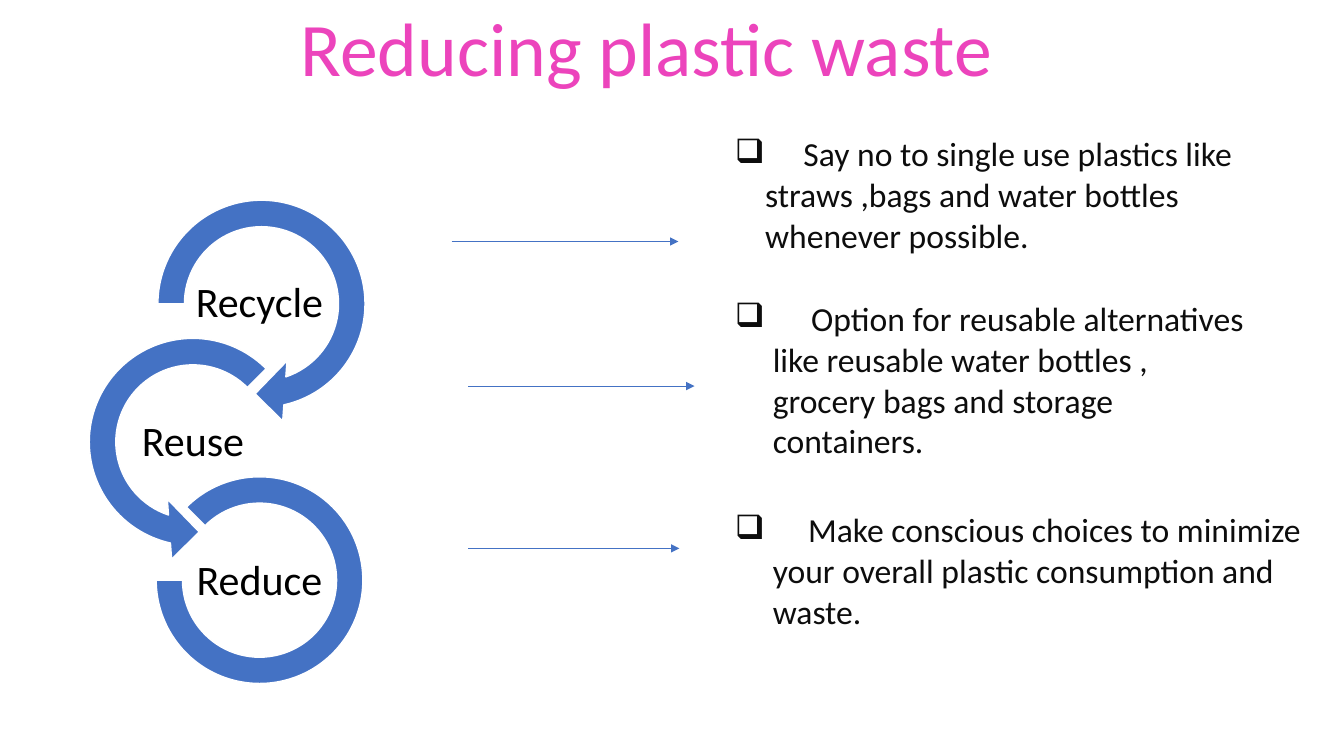
from dataclasses import dataclass

import pptx
import pptx.dml.color
import pptx.enum.shapes
import pptx.enum.text
import pptx.oxml.ns
import pptx.util
from lxml import etree

Pt = pptx.util.Pt
RGBColor = pptx.dml.color.RGBColor
Shape = pptx.enum.shapes.MSO_SHAPE
Align = pptx.enum.text.PP_ALIGN
qn = pptx.oxml.ns.qn

BLUE = RGBColor(0x44, 0x72, 0xC4)
PINK = RGBColor(0xEC, 0x44, 0xBC)
BLACK = RGBColor(0, 0, 0)
DARK = RGBColor(0x0D, 0x0D, 0x0D)
WHITE = RGBColor(0xFF, 0xFF, 0xFF)
FONT = "Calibri"
STEP = 99.4  # drop from one ring label to the next
EDGES = {"a:lnL": 1, "a:lnR": 1, "a:lnT": 1, "a:lnB": 3}


@dataclass
class Ring:
    text: str
    kind: Shape
    left: float
    top: float
    size: float
    bends: tuple[float, ...]
    label: float


@dataclass
class Arrow:
    left: float
    right: float
    top: float


@dataclass
class Tip:
    lines: tuple[str, ...]
    first: float  # left edge of the first line
    rest: float  # left edge of the other lines
    gap: float  # space above


RINGS = [
    Ring("Recycle", Shape.CIRCULAR_ARROW, 100.8, 131, 172,
         (0.11, 11.42, 45, 108, 0.125), 137.5),
    Ring("Reuse", Shape.LEFT_CIRCULAR_ARROW, 51.8, 229.7, 172,
         (0.11, 11.42, 63, 189, 0.125), 90),
    Ring("Reduce", Shape.BLOCK_ARC, 111.6, 340.6, 147.6,
         (135, 108, 0.127), 137.5),
]
ARROWS = [
    Arrow(322.6, 484.6, 172.5),
    Arrow(334.5, 496.1, 275.8),
    Arrow(334.5, 485.3, 391.7),
]
TIPS = [
    Tip(("Say no to single use plastics like",
         "straws ,bags and water bottles",
         "whenever possible."), 49, 21.7, 0),
    Tip(("Option for reusable alternatives",
         "like reusable water bottles ,",
         "grocery bags and storage",
         "containers."), 54.5, 27.1, 29.3),
    Tip(("Make conscious choices to minimize",
         "your overall plastic consumption and",
         "waste."), 52.3, 27.1, 34.2),
]


def write(para, text: str, *, size: float, color: RGBColor,
          align: Align = Align.LEFT, pitch: float | None = None,
          left: float = 0, hang: float = 0, before: float = 0,
          bullet: str = "") -> None:
    para.alignment = align
    para.line_spacing = pitch
    para.space_before = Pt(before)
    run = para.add_run()
    run.text = text
    run.font.name = FONT
    run.font.size = Pt(size)
    run.font.color.rgb = color
    props = para._p.get_or_add_pPr()
    props.set("marL", str(int(Pt(left))))
    props.set("indent", str(int(Pt(-hang))))
    if bullet:
        etree.SubElement(props, qn("a:buChar")).set("char", bullet)


def add_panel(slide, left: float, top: float, width: float, height: float):
    """Add a table of one clear cell with white edges; return its text."""
    table = slide.shapes.add_table(1, 1, Pt(left), Pt(top),
                                   Pt(width), Pt(height)).table
    table.first_row = table.horz_banding = False
    cell = table.cell(0, 0)
    props = cell._tc.get_or_add_tcPr()
    for name, weight in EDGES.items():
        edge = etree.SubElement(props, qn(name))
        edge.set("w", str(int(Pt(weight))))
        fill = etree.SubElement(edge, qn("a:solidFill"))
        etree.SubElement(fill, qn("a:srgbClr")).set("val", str(WHITE))
    cell.fill.background()
    return cell.text_frame


def draw_ring(group, ring: Ring, row: int) -> None:
    shape = group.shapes.add_shape(ring.kind, Pt(ring.left), Pt(ring.top),
                                   Pt(ring.size), Pt(ring.size))
    for spot, bend in enumerate(ring.bends):
        shape.adjustments[spot] = bend
    shape.shadow.inherit = False
    shape.fill.solid()
    shape.fill.fore_color.rgb = BLUE
    shape.line.color.rgb = WHITE
    shape.line.width = Pt(1)
    label = group.shapes.add_textbox(Pt(ring.label), Pt(193 + row * STEP),
                                     Pt(95.8), Pt(47.5))
    text = label.text_frame
    text.word_wrap = True
    text.vertical_anchor = pptx.enum.text.MSO_ANCHOR.MIDDLE
    text.margin_left = text.margin_right = Pt(1.5)
    text.margin_top = text.margin_bottom = Pt(1.5)
    write(text.paragraphs[0], ring.text, size=30, color=BLACK,
          align=Align.CENTER, pitch=0.9)


def draw_arrow(slide, arrow: Arrow) -> None:
    line = slide.shapes.add_connector(
        pptx.enum.shapes.MSO_CONNECTOR.STRAIGHT,
        Pt(arrow.left), Pt(arrow.top), Pt(arrow.right), Pt(arrow.top))
    line.line.color.rgb = BLUE
    line.line.width = Pt(0.5)
    tail = etree.SubElement(line.line._get_or_add_ln(), qn("a:tailEnd"))
    tail.set("type", "triangle")
    etree.SubElement(line._element.spPr, qn("a:effectLst"))


def draw_tips(text) -> None:
    para = text.paragraphs[0]
    for tip in TIPS:
        for row, line in enumerate(tip.lines):
            if tip is not TIPS[0] or row:
                para = text.add_paragraph()
            head = row == 0
            write(para, line, size=24, color=DARK,
                  left=tip.first if head else tip.rest,
                  hang=tip.first if head else 0,
                  before=tip.gap if head else 0,
                  bullet="❑" if head else "")


def main() -> None:
    deck = pptx.Presentation()
    deck.slide_width, deck.slide_height = Pt(960), Pt(540)
    slide = deck.slides.add_slide(deck.slide_layouts[6])

    # Chain of rings
    group = slide.shapes.add_group_shape()
    for row, ring in enumerate(RINGS):
        draw_ring(group, ring, row)

    # Arrows to the tips
    for arrow in ARROWS:
        draw_arrow(slide, arrow)

    # Title
    title = add_panel(slide, 0, 0, 960, 92.9)
    write(title.paragraphs[0], "Reducing plastic waste", size=54, color=PINK,
          left=207.5)

    # List of tips
    draw_tips(add_panel(slide, 517.7, 92.9, 442, 421.2))

    deck.save("out.pptx")


if __name__ == "__main__":
    main()
